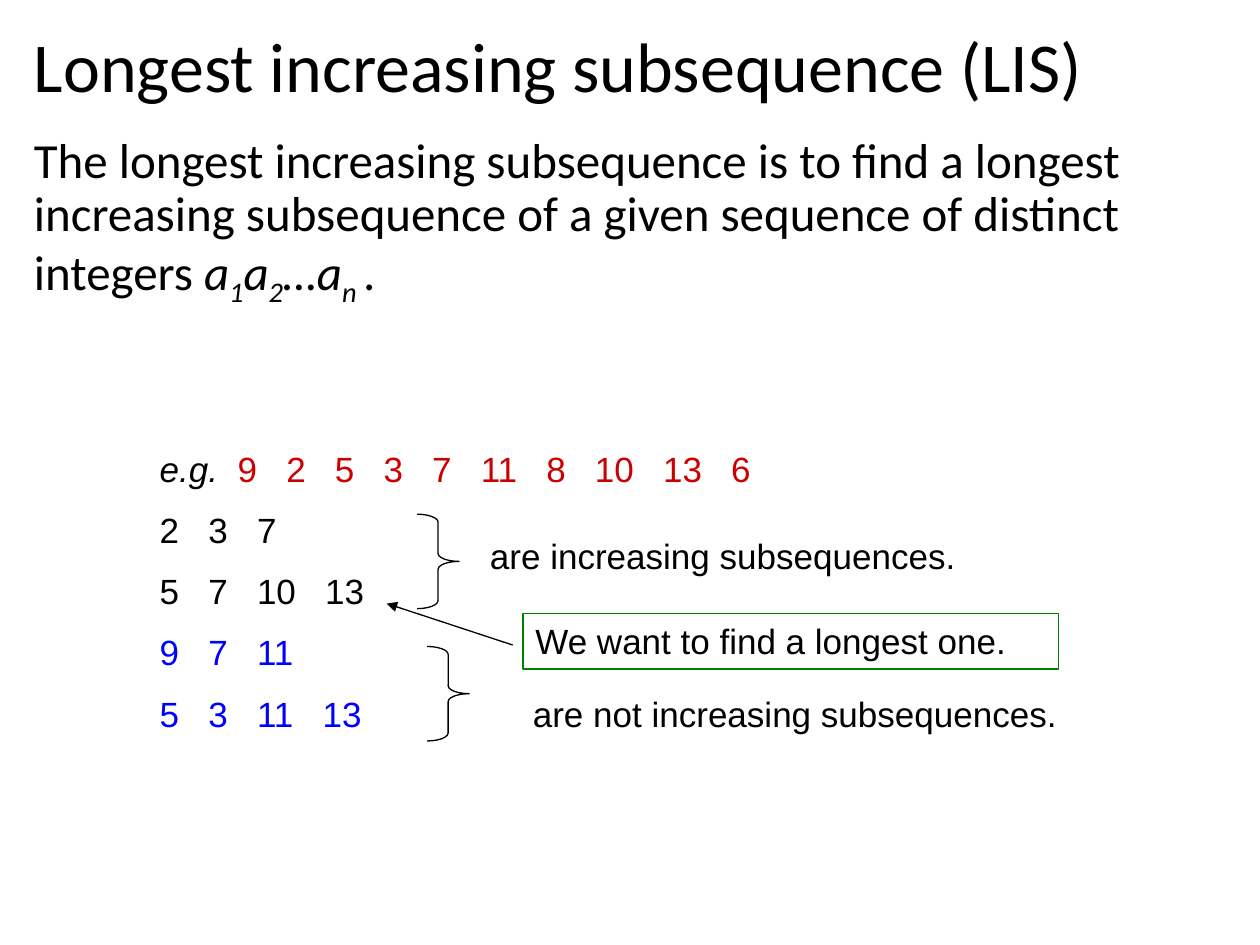
from lxml.etree import SubElement
from pptx import Presentation
from pptx.dml.color import RGBColor
from pptx.enum.shapes import MSO_CONNECTOR as Connector, MSO_SHAPE as Shape
from pptx.enum.text import MSO_ANCHOR as Anchor, MSO_AUTO_SIZE as AutoSize, PP_ALIGN as Align
from pptx.oxml.ns import qn
from pptx.util import Pt

COLORS = {"black": "000000", "red": "CC0000", "blue": "0000FF", "green": "008000"}
DIGIT_WIDTH = 11.12
NUMBER_GAP = 16.68
KERNING_OF_11 = 1.5


def add_run(paragraph, text, size=20, font="Arial", color="black", italic=False, baseline=0):
    """Append formatted text to a paragraph; baseline is in percent."""
    run = paragraph.add_run()
    run.text = text
    run.font.size = Pt(size)
    run.font.name = font
    run.font.italic = italic
    run.font.color.rgb = RGBColor.from_string(COLORS[color])
    if baseline:
        run.font._element.set("baseline", str(baseline * 1000))


def add_numbers(paragraph, numbers, color, start=0):
    """Append numbers separated by tabs, each stop set by the preceding number's width."""
    properties = paragraph._p.get_or_add_pPr()
    stops = SubElement(properties, qn("a:tabLst"))
    positions = [start] if start else []
    position = start
    for number in numbers[:-1]:
        position += DIGIT_WIDTH * len(number) + NUMBER_GAP
        if number == "11":
            position -= KERNING_OF_11
        positions.append(position)
    for stop in positions:
        SubElement(stops, qn("a:tab"), pos=str(int(Pt(stop))), algn="l")
    add_run(paragraph, ("\t" if start else "") + "\t".join(numbers), color=color)


presentation = Presentation()
presentation.slide_width, presentation.slide_height = Pt(720), Pt(540)
slide = presentation.slides.add_slide(presentation.slide_layouts[1])
shapes = slide.shapes

# Title and definition
title, body = slide.placeholders
for placeholder, top, height, anchor in [
    (title, 13, 53.3, Anchor.MIDDLE),
    (body, 74.2, 412.6, Anchor.TOP),
]:
    placeholder.left, placeholder.top = Pt(12.2), Pt(top)
    placeholder.width, placeholder.height = Pt(692.6), Pt(height)
    frame = placeholder.text_frame
    frame.auto_size = AutoSize.NONE
    frame.vertical_anchor = anchor
    frame.paragraphs[0].alignment = Align.LEFT
    frame.paragraphs[0].line_spacing = 0.9

add_run(title.text_frame.paragraphs[0], "Longest increasing subsequence (LIS)", size=40, font="Calibri")

definition = body.text_frame.paragraphs[0]
definition.space_before = Pt(10)
properties = definition._p.get_or_add_pPr()
properties.set("marL", "0")
properties.set("indent", "0")
SubElement(properties, qn("a:buNone"))
for text, italic, baseline in [
    ("The longest increasing subsequence is to find a longest increasing "
     "subsequence of a given sequence of distinct integers ", False, 0),
    ("a", True, 0),
    ("1", True, -25),
    ("a", True, 0),
    ("2", True, -25),
    ("…a", True, 0),
    ("n ", True, -25),
    (".", False, 0),
]:
    add_run(definition, text, size=28, font="Calibri", italic=italic, baseline=baseline)

# Example sequence and its subsequences
example = shapes.add_textbox(Pt(84.2), Pt(252), Pt(450), Pt(175)).text_frame
example.word_wrap = True
sequence = example.paragraphs[0]
add_run(sequence, "e.g.", italic=True)
add_numbers(sequence, "9 2 5 3 7 11 8 10 13 6".split(), "red", start=44.5)
for numbers, color in [
    ("2 3 7", "black"),
    ("5 7 10 13", "black"),
    ("9 7 11", "blue"),
    ("5 3 11 13", "blue"),
]:
    paragraph = example.add_paragraph()
    paragraph.space_before = Pt(11)
    add_numbers(paragraph, numbers.split(), color)

# Braces with their labels
for brace_left, brace_top, label_left, label_top, label_width, label in [
    (238.3, 293.8, 272.9, 301.7, 318.2, "are increasing subsequences."),
    (244.1, 369.4, 297.4, 392.4, 347.8, "are not increasing subsequences."),
]:
    brace = shapes.add_shape(Shape.RIGHT_BRACE, Pt(brace_left), Pt(brace_top), Pt(24), Pt(54))
    brace.adjustments[0] = 0.19
    brace.shadow.inherit = False
    brace.fill.background()
    brace.line.color.rgb = RGBColor.from_string(COLORS["black"])
    brace.line.width = Pt(0.75)
    frame = shapes.add_textbox(Pt(label_left), Pt(label_top), Pt(label_width), Pt(31)).text_frame
    frame.word_wrap = True
    add_run(frame.paragraphs[0], label)

# Goal and its arrow
arrow = shapes.add_connector(Connector.STRAIGHT, Pt(293), Pt(368.6), Pt(221), Pt(344.9))
arrow.line.color.rgb = RGBColor.from_string(COLORS["black"])
arrow.line.width = Pt(0.75)
SubElement(arrow.line._get_or_add_ln(), qn("a:tailEnd"), type="triangle")
SubElement(arrow._element.spPr, qn("a:effectLst"))

goal = shapes.add_shape(Shape.RECTANGLE, Pt(298.8), Pt(350.6), Pt(306), Pt(31.7))
goal.shadow.inherit = False
goal.fill.background()
goal.line.color.rgb = RGBColor.from_string(COLORS["green"])
goal.line.width = Pt(0.75)
goal.text_frame.vertical_anchor = Anchor.TOP
goal.text_frame.paragraphs[0].alignment = Align.LEFT
add_run(goal.text_frame.paragraphs[0], "We want to find a longest one.")

presentation.save("out.pptx")
